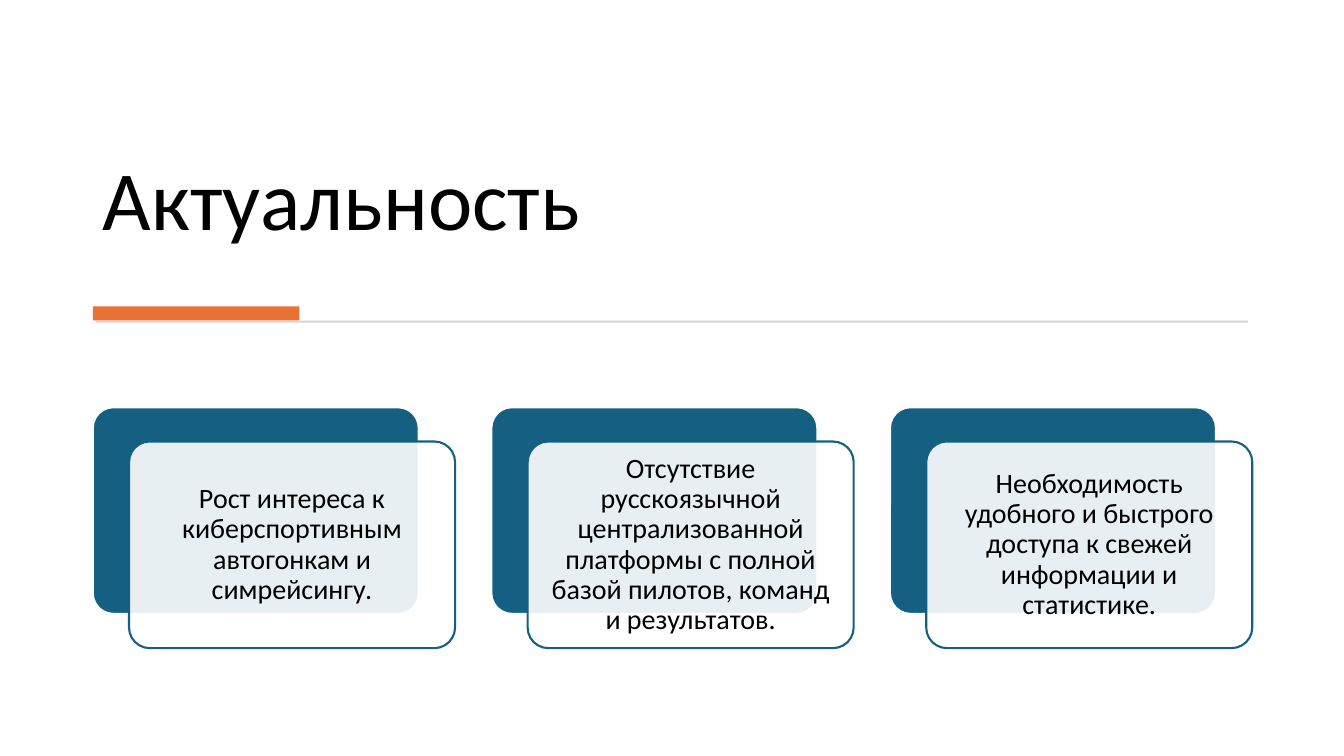
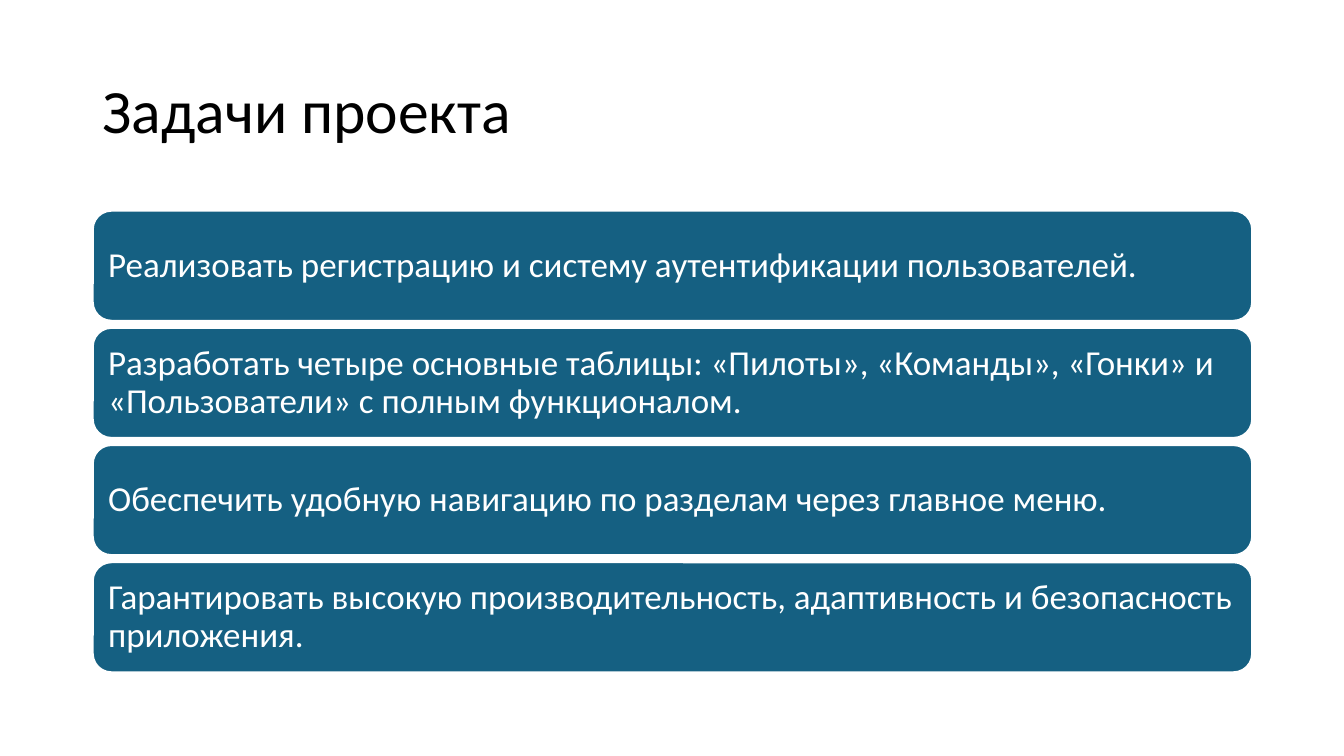
from lxml.etree import SubElement
from pptx import Presentation
from pptx.dml.color import RGBColor
from pptx.enum.shapes import MSO_SHAPE
from pptx.enum.text import MSO_ANCHOR, PP_ALIGN
from pptx.oxml.ns import qn
from pptx.util import Inches, Pt

FONT = "Calibri"
BLACK = RGBColor(0x00, 0x00, 0x00)
WHITE = RGBColor(0xFF, 0xFF, 0xFF)
BLUE = RGBColor(0x15, 0x60, 0x82)
ORANGE = RGBColor(0xE9, 0x71, 0x32)
GREY = RGBColor(0xD5, 0xD5, 0xD5)

SLIDE_W, SLIDE_H = 13.33, 7.5
LEFT, CONTENT_W = 0.92, 11.5

REASONS = [
    "Рост интереса к киберспортивным автогонкам и симрейсингу.",
    "Отсутствие русскоязычной централизованной платформы с полной базой "
    "пилотов, команд и результатов.",
    "Необходимость удобного и быстрого доступа к свежей информации и статистике.",
]
TASKS = [
    "Реализовать регистрацию и систему аутентификации пользователей.",
    "Разработать четыре основные таблицы: «Пилоты», «Команды», «Гонки» и "
    "«Пользователи» с полным функционалом.",
    "Обеспечить удобную навигацию по разделам через главное меню.",
    "Гарантировать высокую производительность, адаптивность и безопасность приложения.",
]


def set_text(sp, text, size, color, anchor=MSO_ANCHOR.MIDDLE,
             align=PP_ALIGN.LEFT, inset=0.1):
    tf = sp.text_frame
    tf.text = text
    tf.word_wrap = True
    tf.vertical_anchor = anchor
    tf.margin_left = tf.margin_right = Inches(inset)
    tf.margin_top = tf.margin_bottom = Inches(min(inset, 0.1))
    p = tf.paragraphs[0]
    p.alignment = align
    p.line_spacing = 0.9
    font = p.runs[0].font
    font.name, font.size, font.color.rgb = FONT, Pt(size), color


def add_box(slide, box, fill, line=None, radius=None, opacity=None):
    kind = MSO_SHAPE.RECTANGLE if radius is None else MSO_SHAPE.ROUNDED_RECTANGLE
    sp = slide.shapes.add_shape(kind, *map(Inches, box))
    sp.shadow.inherit = False
    if radius is not None:
        sp.adjustments[0] = radius
    sp.fill.solid()
    sp.fill.fore_color.rgb = fill
    if opacity is not None:
        color = sp.fill._xPr.find(qn("a:solidFill"))[0]
        SubElement(color, qn("a:alpha")).set("val", str(opacity * 1000))
    if line is None:
        sp.line.fill.background()
    else:
        sp.line.color.rgb = line
        sp.line.width = Pt(1.5)
    return sp


def add_title(slide, box, text, size, anchor):
    set_text(slide.shapes.add_textbox(*map(Inches, box)), text, size, BLACK, anchor)


def add_divider(slide, box):
    """Thin grey rule with an orange accent resting on its left end."""
    x, y, w, h = box
    add_box(slide, (x + 0.03, y + h - 0.02, w - 0.07, 0.02), GREY)
    add_box(slide, (x, y, 2.05, h - 0.02), ORANGE)


def add_cards(slide, box, texts):
    """Row of blue cards, each under an offset translucent text card."""
    x, y, w, h = box
    dx, dy, gap = 0.36, 0.34, 0.36
    pitch = (w + gap) / len(texts)
    card_w, card_h = pitch - gap - dx, h - dy
    for i, text in enumerate(texts):
        left = x + i * pitch
        add_box(slide, (left, y, card_w, card_h), BLUE, WHITE, 0.1)
        front = add_box(slide, (left + dx, y + dy, card_w, card_h),
                        WHITE, BLUE, 0.1, opacity=90)
        set_text(front, text, 20, BLACK, align=PP_ALIGN.CENTER, inset=0.08)


def add_bars(slide, box, texts):
    """Stack of equal blue bars."""
    x, y, w, h = box
    gap = 0.07
    pitch = (h + gap) / len(texts)
    for i, text in enumerate(texts):
        bar = add_box(slide, (x, y + i * pitch, w, pitch - gap), BLUE, WHITE, 0.17)
        set_text(bar, text, 25, WHITE)


def build_relevance(slide):
    add_title(slide, (LEFT, 0.47, CONTENT_W, 2.1), "Актуальность", 60, MSO_ANCHOR.BOTTOM)
    add_divider(slide, (LEFT, 3.04, CONTENT_W, 0.16))
    add_cards(slide, (LEFT, 4.04, CONTENT_W, 2.39), REASONS)


def build_tasks(slide):
    add_title(slide, (LEFT, 0.4, CONTENT_W, 1.45), "Задачи проекта", 44, MSO_ANCHOR.MIDDLE)
    add_bars(slide, (LEFT, 2.09, CONTENT_W, 4.58), TASKS)


def main():
    prs = Presentation()
    prs.slide_width, prs.slide_height = Inches(SLIDE_W), Inches(SLIDE_H)
    for build in (build_relevance, build_tasks):
        build(prs.slides.add_slide(prs.slide_layouts[6]))
    prs.save("out.pptx")


if __name__ == "__main__":
    main()
